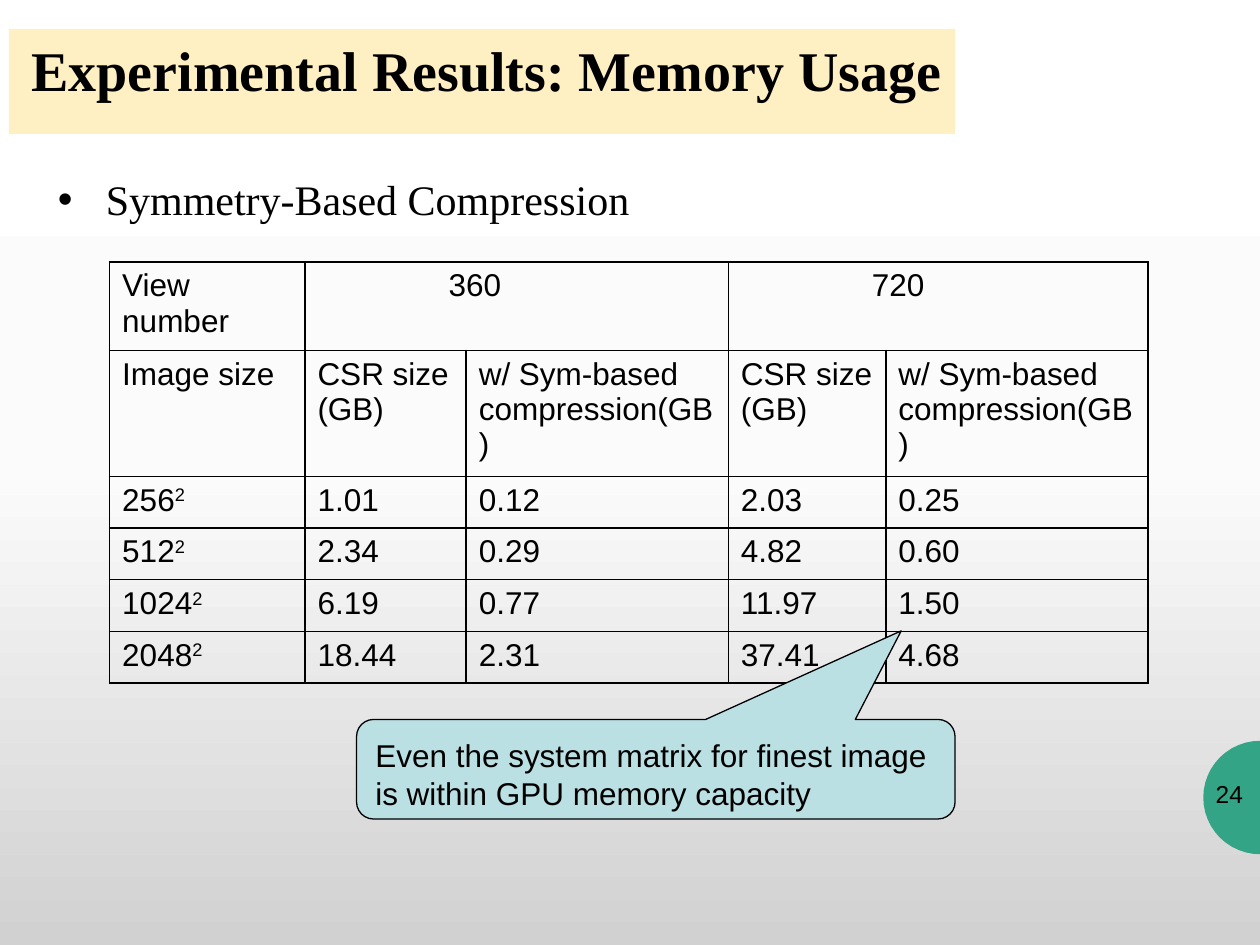
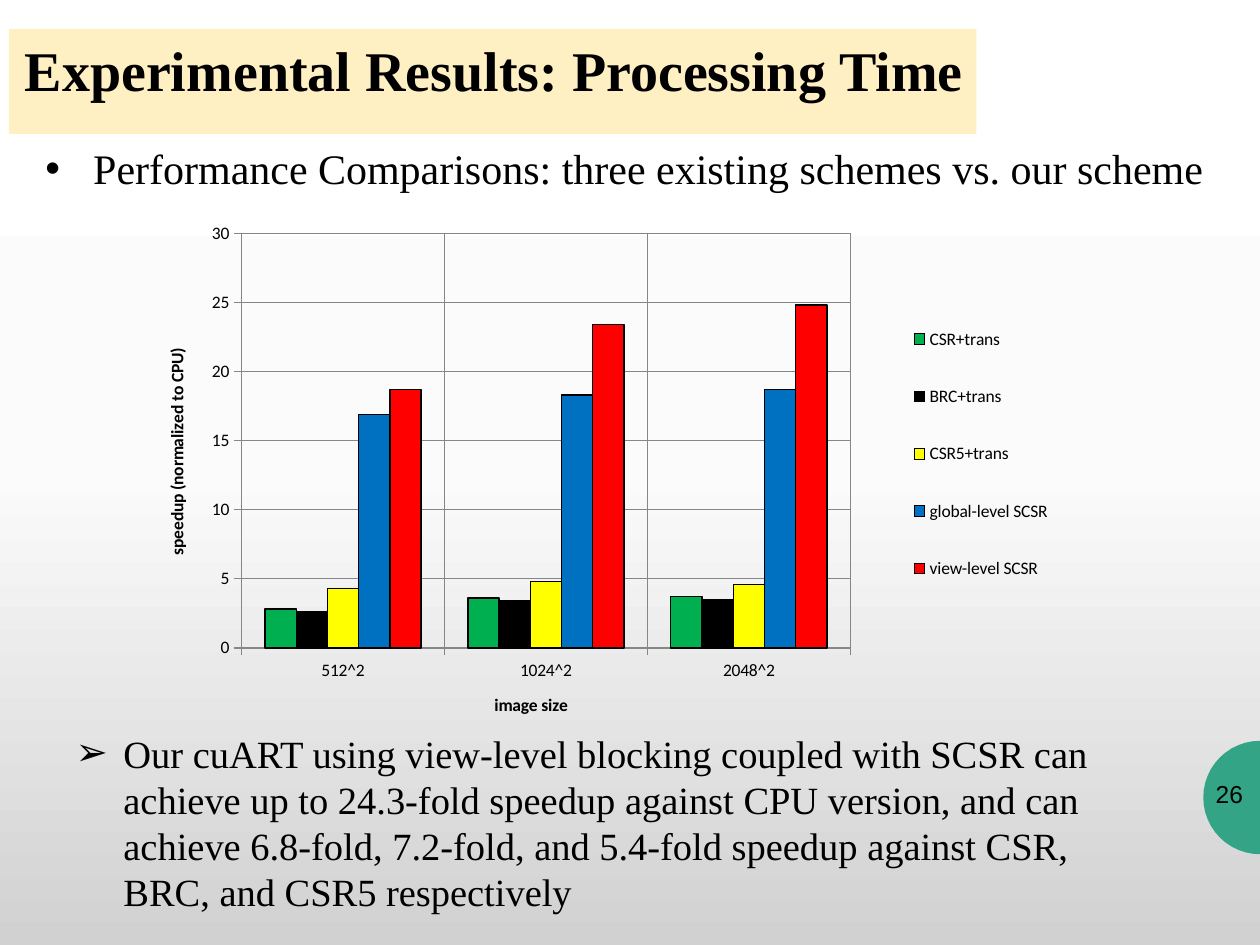
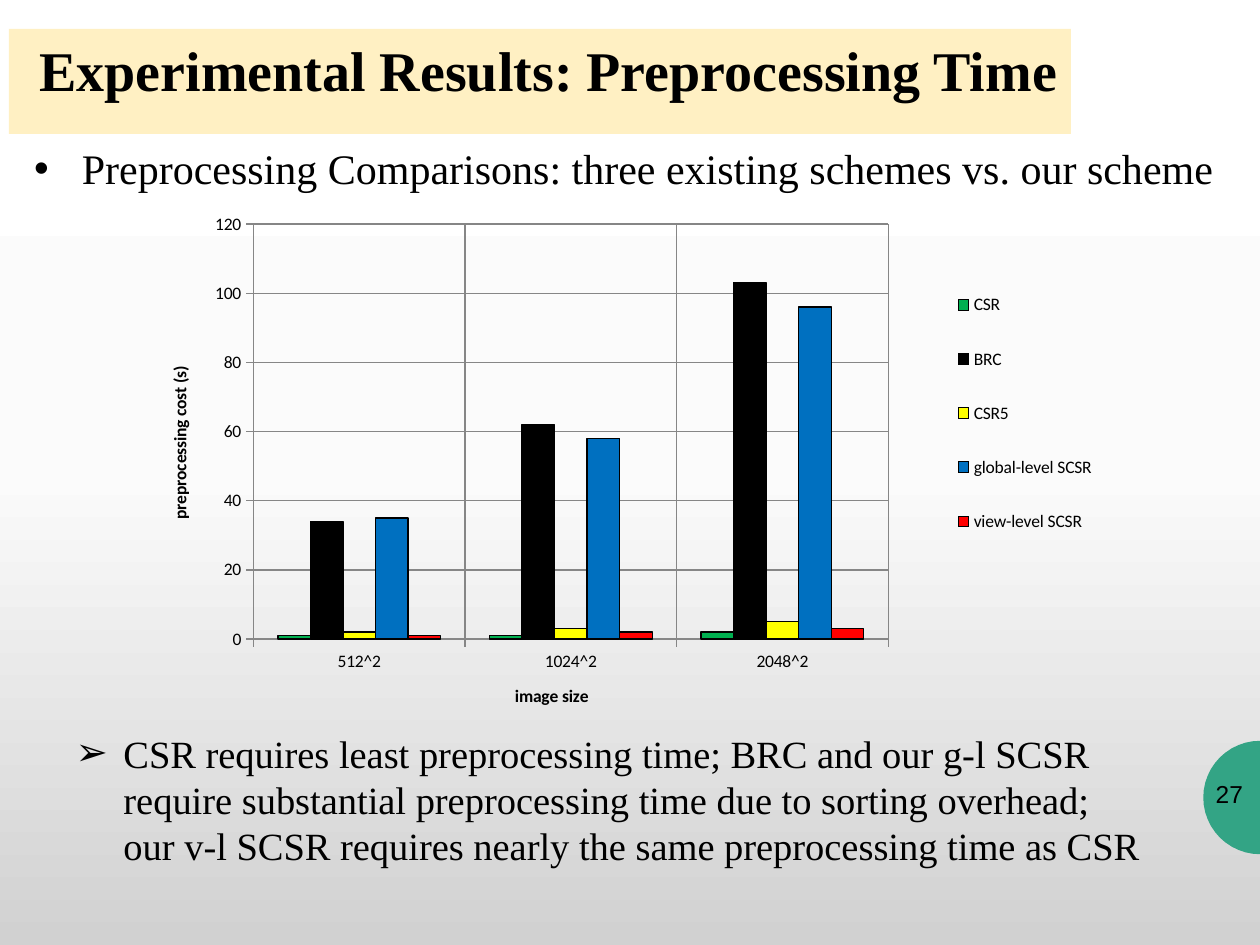
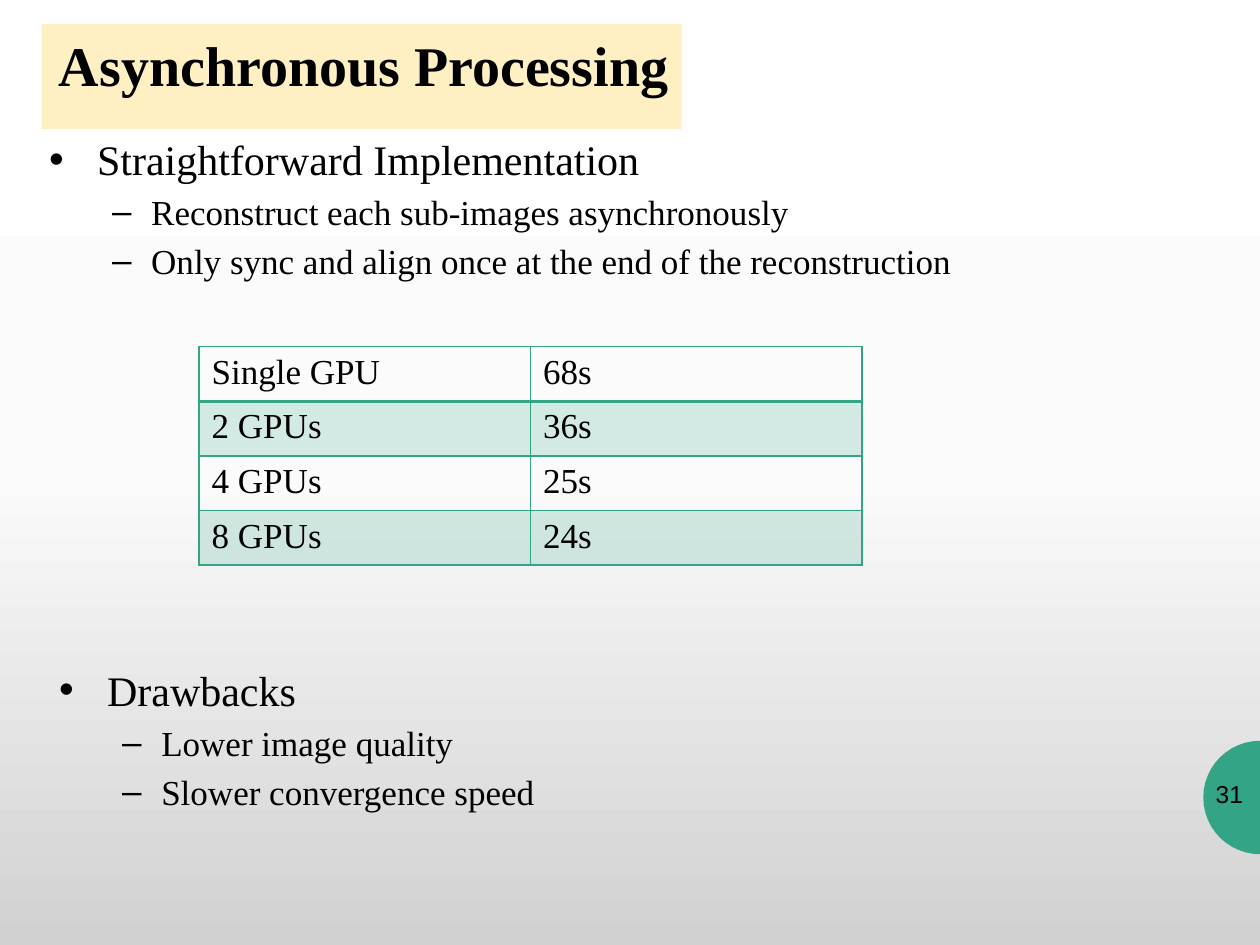
"""Build four slides on the memory and time results of a reconstruction scheme."""
from math import cos, pi, sin
from typing import Any, NamedTuple

from lxml import etree
from pptx import Presentation
from pptx import util as u
from pptx.chart.data import CategoryChartData
from pptx.dml.color import RGBColor
from pptx.enum import chart as charts, shapes, text
from pptx.oxml.ns import qn

HUES = {
    "ink": "000000", "band": "FFEAA6", "teal": "33A485", "note": "BBE0E3",
    "grid": "868686", "green": "00B050", "yellow": "FFFF00",
    "blue": "0070C0", "red": "FF0000",
}
BARS = ("green", "ink", "yellow", "blue", "red")
SERIF, SANS, PLOT = "Times New Roman", "Arial", "Calibri"
SHADES = ((0, "FFFFFF"), (50, "FBFBFB"), (100, "D1D1D1"))
SIZES = ("512^2", "1024^2", "2048^2")
LEVELS = ((24, 0.38, -0.38), (20, 0.81, -0.31))


class Box(NamedTuple):
    left: float
    top: float
    width: float
    height: float

    def place(self) -> list[u.Length]:
        return [u.Inches(side) for side in self]


class Item(NamedTuple):
    words: str
    level: int = 0
    mark: str = "•"
    size: int = 24
    gap: float = 0


class Table(NamedTuple):
    box: Box
    cols: tuple[float, ...]
    rows: tuple[tuple[str, ...], ...]
    font: str
    size: int
    line: str
    banded: bool = False


class Graph(NamedTuple):
    box: Box
    label: str
    top: int
    step: int
    series: dict[str, tuple[float, ...]]
    plot: Box
    key: Box


def put(thing: Any, **values: Any) -> None:
    for name, value in values.items():
        setattr(thing, name, value)


def hue(name: str) -> RGBColor:
    return RGBColor.from_string(HUES[name])


def style(font: Any, face: str, size: int, bold: bool = False) -> None:
    put(font, name=face, size=u.Pt(size), bold=bold)
    font.color.rgb = hue("ink")


def write(para: Any, words: str, face: str, size: int, bold: bool = False) -> Any:
    run = para.add_run()
    run.text = words
    style(run.font, face, size, bold)
    return run


def move(shape: Any, box: Box) -> None:
    put(shape, **dict(zip(box._fields, box.place())))


def sheer(fill: Any, props: Any, name: str, share: int) -> None:
    fill.solid()
    fill.fore_color.rgb = hue(name)
    color = props.find(qn("a:solidFill"))[0]
    etree.SubElement(color, qn("a:alpha"), val=str(share * 1000))


def stroke(line: Any, name: str, width: float = 0.75) -> None:
    line.color.rgb = hue(name)
    line.width = u.Pt(width)


def dress(deck: Any, slide: Any) -> None:
    master = deck.slide_master
    fill = master.background.fill
    fill.gradient()
    fill.gradient_angle = 270
    stops = master.element.find(".//" + qn("a:gsLst"))
    for stop in list(stops):
        stops.remove(stop)
    for spot, shade in SHADES:
        stop = etree.SubElement(stops, qn("a:gs"), pos=str(spot * 1000))
        etree.SubElement(stop, qn("a:srgbClr"), val=shade)

    arc = [(u.Inches(10 - 0.45 * sin(pi * i / 24)),
            u.Inches(6.33 - 0.45 * cos(pi * i / 24))) for i in range(25)]
    path = slide.shapes.build_freeform(*arc[0])
    path.add_line_segments(arc[1:])
    disk = path.convert_to_shape()
    disk.fill.solid()
    disk.fill.fore_color.rgb = hue("teal")
    disk.line.fill.background()
    disk.shadow.inherit = False
    master.shapes.element.append(disk.element)


def head(slide: Any, words: str, box: Box) -> None:
    title = slide.shapes.title
    move(title, box)
    sheer(title.fill, title.element.spPr, "band", 67)
    frame = title.text_frame
    put(frame, word_wrap=True, vertical_anchor=text.MSO_ANCHOR.TOP,
        auto_size=text.MSO_AUTO_SIZE.SHAPE_TO_FIT_TEXT)
    para = frame.paragraphs[0]
    para.alignment = text.PP_ALIGN.RIGHT
    write(para, words, SERIF, 32, True)


def bullets(slide: Any, slot: int, box: Box, items: list[Item]) -> None:
    body = slide.placeholders[slot]
    move(body, box)
    frame = body.text_frame
    put(frame, word_wrap=True, vertical_anchor=text.MSO_ANCHOR.TOP,
        auto_size=text.MSO_AUTO_SIZE.NONE)
    for i, item in enumerate(items):
        para = frame.add_paragraph() if i else frame.paragraphs[0]
        put(para, level=item.level, space_before=u.Pt(item.gap))
        _, left, hang = LEVELS[item.level]
        props = para._p.get_or_add_pPr()
        props.set("marL", str(u.Inches(left)))
        props.set("indent", str(u.Inches(hang)))
        etree.SubElement(props, qn("a:buChar"), char=item.mark)
        write(para, item.words, SERIF, item.size)


def outline(lead: str, *subs: str) -> list[Item]:
    return [Item(lead, gap=4.8)] + [Item(sub, 1, "–", 20, 4) for sub in subs]


def label(slide: Any, words: str, box: Box, size: int) -> None:
    frame = slide.shapes.add_textbox(*box.place()).text_frame
    frame.word_wrap = True
    write(frame.paragraphs[0], words, SANS, size)


def edge(cell: Any, side: str, name: str, width: float) -> None:
    line = etree.SubElement(cell._tc.get_or_add_tcPr(), qn("a:ln" + side),
                            w=str(u.Pt(width)))
    fill = etree.SubElement(line, qn("a:solidFill"))
    etree.SubElement(fill, qn("a:srgbClr"), val=HUES[name])


def table(slide: Any, spec: Table) -> Any:
    grid = slide.shapes.add_table(len(spec.rows), len(spec.cols),
                                  *spec.box.place()).table
    put(grid, first_row=False, horz_banding=False)
    for col, width in zip(grid.columns, spec.cols):
        col.width = u.Inches(width)
    for r, row in enumerate(spec.rows):
        grid.rows[r].height = u.Inches(spec.box.height / len(spec.rows))
        for c, words in enumerate(row):
            cell = grid.cell(r, c)
            for side in "LRTB":
                thick = spec.banded and (r, side) in ((0, "B"), (1, "T"))
                edge(cell, side, spec.line, 2 if thick else 1)
            if spec.banded and r % 2:
                sheer(cell.fill, cell._tc.tcPr, spec.line, 20)
            else:
                cell.fill.background()
            base, _, power = words.partition("^")
            para = cell.text_frame.paragraphs[0]
            if base:
                write(para, base, spec.font, spec.size)
            if power:
                run = write(para, power, spec.font, spec.size)
                run._r.get_or_add_rPr().set("baseline", "30000")
    return grid


def lay(parent: Any, spot: int, box: Box, inner: bool = False) -> None:
    for old in parent.findall(qn("c:layout")):
        parent.remove(old)
    layout = etree.Element(qn("c:layout"))
    parent.insert(spot, layout)
    manual = etree.SubElement(layout, qn("c:manualLayout"))
    parts = [("layoutTarget", "inner")] if inner else []
    parts += [("xMode", "edge"), ("yMode", "edge"), *zip("xywh", box)]
    for tag, value in parts:
        etree.SubElement(manual, qn("c:" + tag), val=str(value))


def graph(slide: Any, spec: Graph) -> None:
    data = CategoryChartData()
    data.categories = SIZES
    for name, values in spec.series.items():
        data.add_series(name, values)
    chart = slide.shapes.add_chart(charts.XL_CHART_TYPE.COLUMN_CLUSTERED,
                                   *spec.box.place(), data).chart
    put(chart, has_title=False, has_legend=True)
    style(chart.font, PLOT, 10)
    put(chart.legend, position=charts.XL_LEGEND_POSITION.RIGHT,
        include_in_layout=False)
    lay(chart.legend._element, 1, spec.key)
    lay(chart._chartSpace.find(".//" + qn("c:plotArea")), 0, spec.plot, True)
    put(chart.plots[0], gap_width=150, overlap=0, vary_by_categories=False)
    put(chart.value_axis, minimum_scale=0, maximum_scale=spec.top,
        major_unit=spec.step)
    for axis, words in ((chart.category_axis, "image size"),
                        (chart.value_axis, spec.label)):
        put(axis, has_major_gridlines=True,
            major_tick_mark=charts.XL_TICK_MARK.OUTSIDE)
        stroke(axis.major_gridlines.format.line, "grid")
        stroke(axis.format.line, "grid")
        write(axis.axis_title.text_frame.paragraphs[0], words, PLOT, 10, True)
    for bar, name in zip(chart.plots[0].series, BARS):
        bar.invert_if_negative = False
        bar.format.fill.solid()
        bar.format.fill.fore_color.rgb = hue(name)
        stroke(bar.format.line, "ink")


def callout(slide: Any, words: str) -> None:
    note = slide.shapes.add_shape(
        shapes.MSO_SHAPE.ROUNDED_RECTANGULAR_CALLOUT,
        *Box(2.83, 5.71, 4.75, 0.79).place())
    for i, value in enumerate((0.41, -1.39, 0.17)):
        note.adjustments[i] = value
    note.shadow.inherit = False
    note.fill.solid()
    note.fill.fore_color.rgb = hue("note")
    stroke(note.line, "ink")
    label(slide, words, Box(2.88, 5.79, 4.65, 0.71), 18)


MEMORY = Table(
    Box(0.87, 2.08, 8.24, 2.46), (1.55, 1.28, 2.08, 1.25, 2.08),
    (("View number", "360", "", "720", ""),
     ("Image size",) + ("CSR size (GB)", "w/ Sym-based compression(GB)") * 2,
     ("256^2", "1.01", "0.12", "2.03", "0.25"),
     ("512^2", "2.34", "0.29", "4.82", "0.60"),
     ("1024^2", "6.19", "0.77", "11.97", "1.50"),
     ("2048^2", "18.44", "2.31", "37.41", "4.68")),
    SANS, 18, "ink")

TIMES = Table(
    Box(1.58, 2.75, 5.26, 1.73), (2.63, 2.63),
    (("Single GPU", "68s"), ("2 GPUs", "36s"),
     ("4 GPUs", "25s"), ("8 GPUs", "24s")),
    SERIF, 20, "teal", True)

SPEED = Graph(
    Box(0.92, 1.64, 7.67, 4.22), "speedup (normalized to CPU)", 30, 5,
    {"CSR+trans": (2.8, 3.6, 3.7), "BRC+trans": (2.6, 3.4, 3.5),
     "CSR5+trans": (4.3, 4.8, 4.6), "global-level SCSR": (16.9, 18.3, 18.7),
     "view-level SCSR": (18.7, 23.4, 24.8)},
    Box(0.13, 0.05, 0.63, 0.78), Box(0.8, 0.16, 0.19, 0.61))

COST = Graph(
    Box(1.16, 1.57, 7.75, 4.17), "preprocessing cost (s)", 120, 20,
    {"CSR": (1, 1, 2), "BRC": (34, 62, 103), "CSR5": (2, 3, 5),
     "global-level SCSR": (35, 58, 96), "view-level SCSR": (1, 2, 3)},
    Box(0.11, 0.05, 0.65, 0.79), Box(0.81, 0.12, 0.18, 0.58))


def start(deck: Any, layout: int, page: int, title: str, box: Box) -> Any:
    slide = deck.slides.add_slide(deck.slide_layouts[layout])
    head(slide, title, box)
    label(slide, str(page), Box(9.55, 6.13, 0.45, 0.4), 14)
    return slide


def main() -> None:
    deck = Presentation()
    put(deck, slide_width=u.Inches(10), slide_height=u.Inches(7.5))

    slide = start(deck, 1, 24, "Experimental Results: Memory Usage",
                  Box(0.07, 0.23, 7.51, 0.64))
    dress(deck, slide)
    bullets(slide, 1, Box(0.36, 1.33, 9.28, 0.5),
            [Item("Symmetry-Based Compression")])
    grid = table(slide, MEMORY)
    for col in (1, 3):
        views = grid.cell(0, col)
        views.merge(grid.cell(0, col + 1))
        views.margin_left = u.Inches(1.14)
    callout(slide, "Even the system matrix for finest image "
                   "is within GPU memory capacity")

    slide = start(deck, 3, 26, "Experimental Results: Processing Time",
                  Box(0.07, 0.23, 7.68, 0.64))
    bullets(slide, 1, Box(0.26, 1.08, 9.47, 0.5),
            [Item("Performance Comparisons: three existing schemes "
                  "vs. our scheme")])
    graph(slide, SPEED)
    bullets(slide, 2, Box(0.5, 5.74, 8.77, 1.58),
            [Item("Our cuART using view-level blocking coupled with SCSR can "
                  "achieve up to 24.3-fold speedup against CPU version, and "
                  "can achieve 6.8-fold, 7.2-fold, and 5.4-fold speedup "
                  "against CSR, BRC, and CSR5 respectively", 0, "➢", 22)])

    slide = start(deck, 3, 27, "Experimental Results: Preprocessing Time",
                  Box(0.07, 0.23, 8.43, 0.64))
    bullets(slide, 1, Box(0.17, 1.08, 9.74, 0.5),
            [Item("Preprocessing Comparisons: three existing schemes "
                  "vs. our scheme")])
    bullets(slide, 2, Box(0.5, 5.74, 8.67, 1.21),
            [Item("CSR requires least preprocessing time; BRC and our g-l "
                  "SCSR require substantial preprocessing time due to sorting "
                  "overhead; our v-l SCSR requires nearly the same "
                  "preprocessing time as CSR", 0, "➢", 22)])
    graph(slide, COST)

    slide = start(deck, 3, 31, "Asynchronous Processing",
                  Box(0.33, 0.19, 5.08, 0.64))
    bullets(slide, 1, Box(0.29, 1.01, 9.26, 0.92),
            outline("Straightforward Implementation",
                    "Reconstruct each sub-images asynchronously",
                    "Only sync and align once at the end of the "
                    "reconstruction"))
    table(slide, TIMES)
    bullets(slide, 2, Box(0.37, 5.22, 9.26, 0.92),
            outline("Drawbacks", "Lower image quality",
                    "Slower convergence speed"))
    deck.save("out.pptx")


if __name__ == "__main__":
    main()
